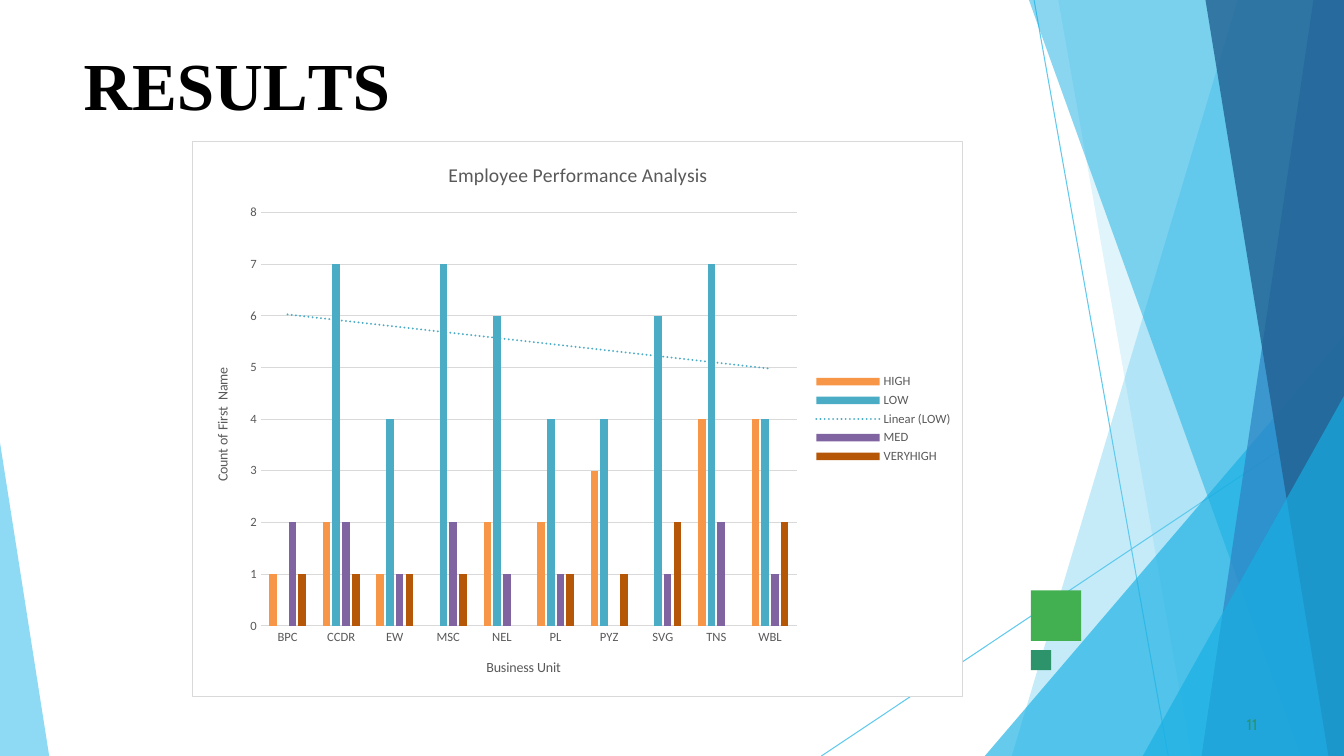
from dataclasses import dataclass

import pptx
import pptx.chart.data
import pptx.dml.color
import pptx.enum.chart
import pptx.enum.dml
import pptx.enum.shapes
import pptx.enum.text
import pptx.oxml
import pptx.oxml.ns
import pptx.util
from pptx.util import Cm, Pt

RGBColor = pptx.dml.color.RGBColor
SKY = RGBColor(0x5F, 0xCA, 0xEE)
AZURE = RGBColor(0x17, 0xAF, 0xE3)
BLUE = RGBColor(0x2D, 0x83, 0xC3)
NAVY = RGBColor(0x22, 0x61, 0x92)
GREEN = RGBColor(0x42, 0xAF, 0x51)
TEAL = RGBColor(0x2D, 0x93, 0x6B)
BLACK = RGBColor(0, 0, 0)
GREY = RGBColor(0x59, 0x59, 0x59)
PALE = RGBColor(0xD9, 0xD9, 0xD9)
ORANGE = RGBColor(0xF7, 0x96, 0x46)
AQUA = RGBColor(0x4B, 0xAC, 0xC6)
PURPLE = RGBColor(0x80, 0x64, 0xA2)
BROWN = RGBColor(0xB6, 0x57, 0x08)

WIDE, HIGH = 33.87, 19.05
NS = pptx.oxml.ns.nsdecls("c", "a")


@dataclass
class Facet:
    points: list[tuple[float, float]]
    color: RGBColor
    alpha: int


@dataclass
class Ray:
    start: tuple[float, float]
    end: tuple[float, float]


@dataclass
class Square:
    left: float
    top: float
    side: float
    color: RGBColor


@dataclass
class Group:
    name: str
    counts: list[int | None]
    color: RGBColor


def band(top: float, foot: float, color: RGBColor, alpha: int) -> Facet:
    """Full-height facet between a slanted edge and the right side."""
    return Facet([(WIDE, 0), (top, 0), (foot, HIGH), (WIDE, HIGH)], color, alpha)


def wedge(foot: float, top: float) -> Facet:
    """Triangle in the lower right corner."""
    return Facet([(WIDE, top), (foot, HIGH), (WIDE, HIGH)], AZURE, 66)


RAYS = [Ray((26.06, 0), (29.44, HIGH)), Ray((WIDE, 10.26), (20.7, HIGH))]
FACETS = [
    band(31.19, 25.5, SKY, 36),
    band(26.67, 30.02, SKY, 20),
    wedge(24.82, 8.46),
    band(25.93, 32.79, AZURE, 50),
    band(33.1, 30.28, BLUE, 70),
    band(30.38, 33.48, NAVY, 80),
    wedge(28.8, 9.98),
    Facet([(0, 11.15), (0, HIGH), (1.24, HIGH)], SKY, 70),
]
SQUARES = [Square(25.98, 14.88, 1.27, GREEN), Square(25.98, 16.38, 0.51, TEAL)]

UNITS = ["BPC", "CCDR", "EW", "MSC", "NEL", "PL", "PYZ", "SVG", "TNS", "WBL"]
GROUPS = [
    Group("HIGH", [1, 2, 1, None, 2, 2, 3, None, 4, 4], ORANGE),
    Group("LOW", [None, 7, 4, 7, 6, 4, 4, 6, 7, 4], AQUA),
    Group("MED", [2, 2, 1, 2, 1, 1, None, 1, 2, 1], PURPLE),
    Group("VERYHIGH", [1, 1, 1, 1, None, 1, 1, 2, None, 2], BROWN),
]


def draw_ray(slide, ray: Ray) -> None:
    line = slide.shapes.add_connector(
        pptx.enum.shapes.MSO_CONNECTOR.STRAIGHT, *map(Cm, ray.start + ray.end))
    line.line.color.rgb = SKY
    line.line.width = Pt(0.75)
    line._element.spPr.append(pptx.oxml.parse_xml(f"<a:effectLst {NS}/>"))


def paint(shape, color: RGBColor) -> None:
    shape.shadow.inherit = False
    shape.fill.solid()
    shape.fill.fore_color.rgb = color
    shape.line.fill.background()


def draw_facet(slide, facet: Facet) -> None:
    first, *rest = [(Cm(x), Cm(y)) for x, y in facet.points]
    pen = slide.shapes.build_freeform(*first)
    pen.add_line_segments(rest, close=True)
    shape = pen.convert_to_shape()
    paint(shape, facet.color)
    tint = shape._element.spPr.find(".//" + pptx.oxml.ns.qn("a:srgbClr"))
    tint.append(pptx.oxml.parse_xml(f'<a:alpha {NS} val="{facet.alpha * 1000}"/>'))


def draw_square(slide, square: Square) -> None:
    shape = slide.shapes.add_shape(
        pptx.enum.shapes.MSO_SHAPE.RECTANGLE, Cm(square.left), Cm(square.top),
        Cm(square.side), Cm(square.side))
    paint(shape, square.color)


def style(font, size: float, color: RGBColor, name: str = "Calibri",
          bold: bool = False) -> None:
    font.size, font.name, font.bold = Pt(size), name, bold
    font.color.rgb = color


def fit(frame) -> None:
    """Clear the margins and let the frame grow with its text."""
    frame.margin_left = frame.margin_right = frame.margin_bottom = 0
    frame.margin_top = Cm(0.03)
    frame.word_wrap = True
    frame.vertical_anchor = pptx.enum.text.MSO_ANCHOR.TOP
    frame.auto_size = pptx.enum.text.MSO_AUTO_SIZE.SHAPE_TO_FIT_TEXT


def write_title(slide) -> None:
    title = slide.shapes.title
    title.left, title.top = Cm(2.11), Cm(1.07)
    title.width, title.height = Cm(22.17), Cm(2.08)
    fit(title.text_frame)
    line = title.text_frame.paragraphs[0]
    line.alignment = pptx.enum.text.PP_ALIGN.LEFT
    line.space_before = Pt(1.1)
    style(line.font, 48, BLACK, "Times New Roman", True)
    for text, gap in (("RESU", 0), ("L", -400), ("TS", 0)):
        run = line.add_run()
        run.text = text
        run._r.get_or_add_rPr().set("spc", str(gap))


def write_number(slide) -> None:
    box = slide.shapes.add_textbox(Cm(31.32), Cm(17.98), Cm(0.64), Cm(0.53))
    fit(box.text_frame)
    box.text_frame.margin_left = Cm(0.1)
    line = box.text_frame.paragraphs[0]
    line.text = "11"
    style(line.font, 11, TEAL, "Cabin")


def label(title, text: str, size: float) -> None:
    line = title.text_frame.paragraphs[0]
    line.text = text
    style(line.font, size, GREY)


def add_trend(series, color: RGBColor) -> None:
    trend = pptx.oxml.parse_xml(
        f'<c:trendline {NS}><c:spPr><a:ln w="19050" cap="rnd"><a:solidFill>'
        f'<a:srgbClr val="{color}"/></a:solidFill><a:prstDash val="sysDot"/>'
        '</a:ln></c:spPr><c:trendlineType val="linear"/><c:dispRSqr val="0"/>'
        '<c:dispEq val="0"/></c:trendline>')
    series._element.find(pptx.oxml.ns.qn("c:cat")).addprevious(trend)


def add_frame(chart) -> None:
    """White chart area with a thin pale border."""
    area = pptx.oxml.parse_xml(
        f'<c:spPr {NS}><a:solidFill><a:srgbClr val="FFFFFF"/></a:solidFill>'
        f'<a:ln w="9525"><a:solidFill><a:srgbClr val="{PALE}"/></a:solidFill>'
        '</a:ln></c:spPr>')
    chart._chartSpace.find(pptx.oxml.ns.qn("c:chart")).addnext(area)


def draw_chart(slide) -> None:
    data = pptx.chart.data.CategoryChartData()
    data.categories = UNITS
    for group in GROUPS:
        data.add_series(group.name, group.counts)
    chart = slide.shapes.add_chart(
        pptx.enum.chart.XL_CHART_TYPE.COLUMN_CLUSTERED,
        Cm(4.85), Cm(3.56), Cm(19.43), Cm(14), data).chart
    style(chart.font, 10, BLACK)
    add_frame(chart)
    label(chart.chart_title, "Employee Performance Analysis", 14)
    chart.has_legend = True
    chart.legend.position = pptx.enum.chart.XL_LEGEND_POSITION.RIGHT
    chart.legend.include_in_layout = False
    style(chart.legend.font, 9, GREY)

    plot = chart.plots[0]
    plot.gap_width, plot.overlap, plot.vary_by_categories = 219, -27, False
    for series, group in zip(plot.series, GROUPS):
        series.format.fill.solid()
        series.format.fill.fore_color.rgb = group.color
        if group.name == "LOW":
            add_trend(series, group.color)

    base, scale = chart.category_axis, chart.value_axis
    for axis, text in ((base, "Business Unit"), (scale, "Count of First  Name")):
        label(axis.axis_title, text, 10)
        axis.major_tick_mark = pptx.enum.chart.XL_TICK_MARK.NONE
        style(axis.tick_labels.font, 9, GREY)
    scale.axis_title._element.find(".//" + pptx.oxml.ns.qn("a:bodyPr")).set("rot", "-5400000")
    scale.minimum_scale, scale.maximum_scale, scale.major_unit = 0, 8, 1
    scale.format.line.fill.background()
    for line in (base.format.line, scale.major_gridlines.format.line):
        line.color.rgb = PALE
        line.width = Pt(0.75)


def main() -> None:
    deck = pptx.Presentation()
    deck.slide_width, deck.slide_height = Cm(WIDE), Cm(HIGH)
    slide = deck.slides.add_slide(deck.slide_layouts[5])
    for ray in RAYS:
        draw_ray(slide, ray)
    for facet in FACETS:
        draw_facet(slide, facet)
    for square in SQUARES:
        draw_square(slide, square)
    write_title(slide)
    write_number(slide)
    draw_chart(slide)
    deck.save("out.pptx")


if __name__ == "__main__":
    main()
